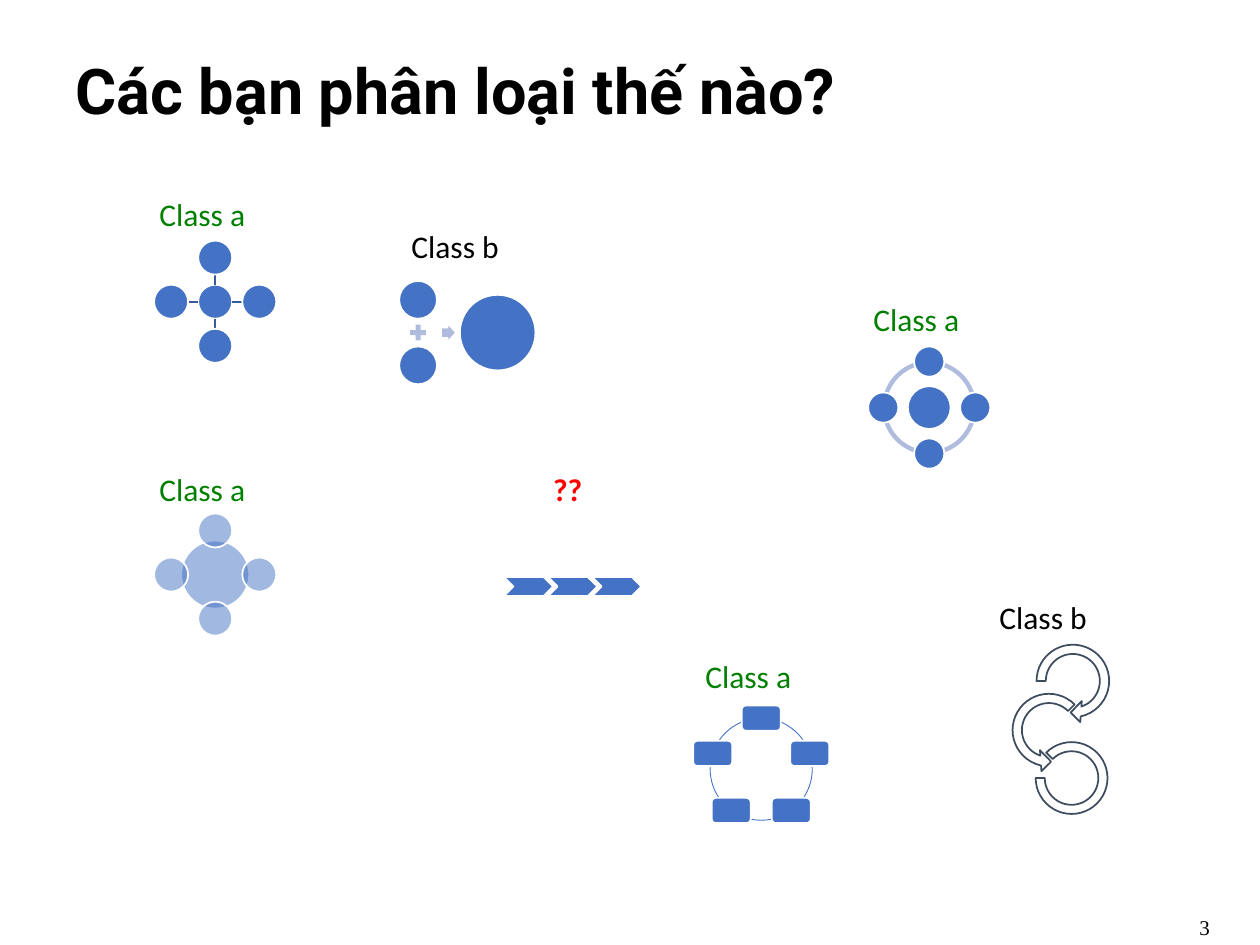
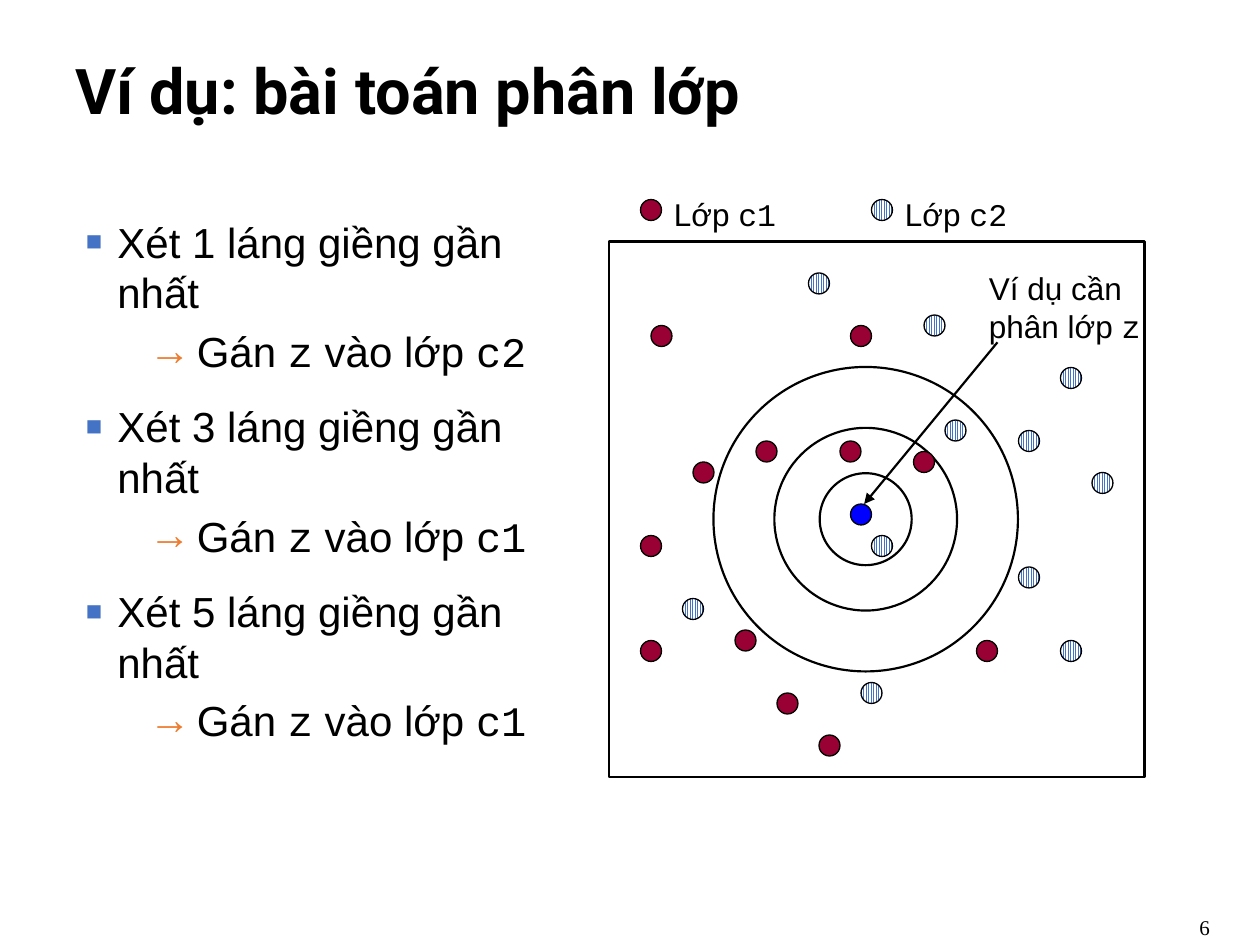
from math import cos, radians, sin

from lxml.etree import SubElement
from pptx import Presentation
from pptx.dml.color import RGBColor
from pptx.enum.dml import MSO_PATTERN
from pptx.enum.shapes import MSO_CONNECTOR, MSO_SHAPE
from pptx.enum.text import MSO_ANCHOR, PP_ALIGN
from pptx.oxml.ns import qn
from pptx.util import Inches, Pt

BLACK = RGBColor(0x00, 0x00, 0x00)
WHITE = RGBColor(0xFF, 0xFF, 0xFF)
BLUE = RGBColor(0x44, 0x72, 0xC4)
DEEP_BLUE = RGBColor(0x36, 0x5B, 0x9D)
PALE_BLUE = RGBColor(0xB0, 0xBC, 0xDE)
SLATE = RGBColor(0x3E, 0x4C, 0x60)
ORANGE = RGBColor(0xED, 0x7D, 0x31)
GREEN = RGBColor(0x00, 0x80, 0x00)
RED = RGBColor(0xFF, 0x00, 0x00)
MAROON = RGBColor(0x99, 0x00, 0x33)
PURE_BLUE = RGBColor(0x00, 0x00, 0xFF)

COLUMNS, ROWS = 120, 90
ADJUSTMENT_PER_DEGREE = 0.6
QUARTERS = (-90, 0, 90, 180)


def around(centre, distance, angle):
    """Point at a distance and clockwise angle from a centre."""
    return (centre[0] + distance * cos(radians(angle)),
            centre[1] + distance * sin(radians(angle)))


class Page:
    """Holds the style and the current slide; lengths are grid cells."""

    def __init__(self, deck):
        self.deck = deck
        self.cell_width = deck.slide_width / COLUMNS
        self.cell_height = deck.slide_height / ROWS

    def start(self, title, number):
        self.slide = self.deck.slides.add_slide(self.deck.slide_layouts[6])
        box = self.text(title, 6, 4, 108, 10, 36, font="Roboto", bold=True)
        box.text_frame.vertical_anchor = MSO_ANCHOR.MIDDLE
        box.text_frame.paragraphs[0].line_spacing = 0.9
        box = self.text(str(number), 101.4, 85.9, 15, 4.2, 12, font="Times New Roman")
        box.text_frame.vertical_anchor = MSO_ANCHOR.BOTTOM
        box.text_frame.paragraphs[0].alignment = PP_ALIGN.RIGHT

    def place(self, column, row):
        return round(column * self.cell_width), round(row * self.cell_height)

    def text_box(self, column, row, width, height):
        box = self.slide.shapes.add_textbox(*self.place(column, row),
                                            *self.place(width, height))
        box.text_frame.word_wrap = True
        return box

    def text(self, words, column, row, width, height, size,
             color=BLACK, font="Arial", bold=False):
        box = self.text_box(column, row, width, height)
        self.add_spans(box.text_frame.paragraphs[0], words, size, color, font, bold)
        return box

    def add_spans(self, para, words, size, color=BLACK, font="Arial", bold=False):
        """Fill a paragraph; words between backticks are monospaced."""
        for index, part in enumerate(words.split("`")):
            if part:
                span = para.add_run()
                span.text = part
                span.font.name = "Courier New" if index % 2 else font
                span.font.size = Pt(size)
                span.font.bold = bold
                span.font.color.rgb = color

    def shape(self, kind, centre, width, height=None, fill=BLUE,
              line=WHITE, weight=1, adjust=()):
        height = height or width
        shape = self.slide.shapes.add_shape(
            kind, *self.place(centre[0] - width / 2, centre[1] - height / 2),
            *self.place(width, height))
        shape.shadow.inherit = False
        for index, value in enumerate(adjust):
            shape.adjustments[index] = value
        if fill is None:
            shape.fill.background()
        else:
            shape.fill.solid()
            shape.fill.fore_color.rgb = fill
        if line is None:
            shape.line.fill.background()
        else:
            shape.line.color.rgb = line
            shape.line.width = Pt(weight)
        return shape

    def circle(self, centre, size, **style):
        return self.shape(MSO_SHAPE.OVAL, centre, size, **style)

    def glass_circle(self, centre, size):
        """Half-transparent circle."""
        shape = self.circle(centre, size)
        color = shape._element.spPr.find(qn("a:solidFill"))[0]
        SubElement(color, qn("a:alpha")).set("val", "50000")

    def dot(self, centre, fill=None):
        """Sample on the scatter; striped when no fill is given."""
        shape = self.circle(centre, 2, fill=fill, line=BLACK, weight=0.75)
        if fill is None:
            shape.fill.patterned()
            shape.fill.pattern = MSO_PATTERN.LIGHT_VERTICAL
            shape.fill.fore_color.rgb = BLUE
            shape.fill.back_color.rgb = WHITE

    def line(self, start, end, color, weight, arrow=False):
        line = self.slide.shapes.add_connector(
            MSO_CONNECTOR.STRAIGHT, *self.place(*start), *self.place(*end))
        line.line.color.rgb = color
        line.line.width = Pt(weight)
        properties = line._element.spPr
        if arrow:
            SubElement(properties.find(qn("a:ln")), qn("a:tailEnd")).set("type", "triangle")
        SubElement(properties, qn("a:effectLst"))

    def bullet(self, para, words, mark, color, left, hanging, size, before):
        properties = para._p.get_or_add_pPr()
        properties.set("marL", str(Inches(left)))
        properties.set("indent", str(-Inches(hanging)))
        fill = SubElement(properties, qn("a:buClr"))
        SubElement(fill, qn("a:srgbClr")).set("val", str(color))
        SubElement(properties, qn("a:buSzPct")).set("val", str(size * 1000))
        SubElement(properties, qn("a:buFont")).set("typeface", "Arial")
        SubElement(properties, qn("a:buChar")).set("char", mark)
        para.space_before = Pt(before)
        self.add_spans(para, words, 24)


def draw_spokes(page, centre):
    page.circle(centre, 3.24)
    for angle in QUARTERS:
        page.line(around(centre, 1.62, angle), around(centre, 2.58, angle), DEEP_BLUE, 1)
        page.circle(around(centre, 4.2, angle), 3.24)


def draw_overlap(page, centre):
    page.glass_circle(centre, 6.48)
    for angle in QUARTERS:
        page.glass_circle(around(centre, 4.2, angle), 3.24)


def draw_orbit(page, centre):
    for angle in QUARTERS:
        ends = [turn % 360 * ADJUSTMENT_PER_DEGREE for turn in (angle, angle + 90)]
        page.shape(MSO_SHAPE.BLOCK_ARC, centre, 9, fill=PALE_BLUE, line=None,
                   adjust=(*ends, 0.046))
    page.circle(centre, 4.08)
    for angle in QUARTERS:
        page.circle(around(centre, 4.38, angle), 2.88)


def draw_cycle(page, centre):
    for ends in ((-68, -35), (-4, 34), (79, 101), (146, 184), (215, 248)):
        page.shape(MSO_SHAPE.ARC, centre, 9.72, fill=None, line=BLUE, weight=0.5,
                   adjust=[turn % 360 * ADJUSTMENT_PER_DEGREE for turn in ends])
    for angle in range(-90, 270, 72):
        page.shape(MSO_SHAPE.ROUNDED_RECTANGLE, around(centre, 4.86, angle), 3.72, 2.4)


def draw_sum(page):
    for row in (28.56, 34.8):
        page.circle((39.82, row), 3.6)
    page.shape(MSO_SHAPE.MATH_PLUS, (39.82, 31.68), 2.04, fill=PALE_BLUE, line=None)
    page.shape(MSO_SHAPE.RIGHT_ARROW, (42.72, 31.68), 1.2, 1.32,
               fill=PALE_BLUE, line=None, adjust=(0.6, 0.5))
    page.circle((47.4, 31.68), 7.2)


def draw_gears(page):
    outline = {"fill": WHITE, "line": SLATE}
    page.shape(MSO_SHAPE.CIRCULAR_ARROW, (102.18, 64.86), 8.04,
               adjust=(0.11, 11.42, 45, 108, 0.125), **outline)
    page.shape(MSO_SHAPE.LEFT_CIRCULAR_ARROW, (99.9, 69.54), 8.04,
               adjust=(0.11, 11.42, 63, 189, 0.125), **outline)
    page.shape(MSO_SHAPE.BLOCK_ARC, (102.06, 74.1), 6.84,
               adjust=(135, 108, 0.127), **outline)


def build_grouping(page):
    page.start("Các bạn phân loại thế nào?", 3)
    draw_spokes(page, (20.5, 28.74))
    draw_overlap(page, (20.5, 54.72))
    draw_cycle(page, (72.5, 73.26))
    for step in range(3):
        page.shape(MSO_SHAPE.CHEVRON, (50.34 + 4.2 * step, 55.86), 4.68, 1.8)
    draw_orbit(page, (88.5, 38.82))
    draw_sum(page)
    draw_gears(page)
    page.text("??", 51.5, 44.2, 8, 4.8, 18, RED, "Calibri", bold=True)
    for column, row in ((82, 28), (66, 62), (14, 44.2), (14, 18)):
        page.text("Class a", column, row, 13, 4.8, 18, GREEN, "Calibri")
    for column, row in ((94, 56.4), (38, 21)):
        page.text("Class b", column, row, 14, 4.8, 18, font="Calibri")


def build_neighbours(page):
    page.start("Ví dụ: bài toán phân lớp", 6)
    for size in (29, 17.4, 8.76):
        page.circle((82.45, 49.45), size, fill=None, line=BLACK, weight=1.25)

    first_class = ((73, 43), (67, 45), (71, 61), (88, 44), (63, 32), (62, 62), (81, 43),
                   (82, 32), (62, 52), (94, 62), (75, 67), (79, 71))
    second_class = ((102, 36), (84, 52), (98, 55), (83, 66), (105, 46), (91, 41),
                    (78, 27), (66, 58), (102, 62), (98, 42), (89, 31))
    legend = (("Lớp `c1`", 62, MAROON, first_class), ("Lớp `c2`", 84, None, second_class))
    for label, column, fill, samples in legend:
        for centre in ((column, 20), *samples):
            page.dot(centre, fill)
        page.text(label, column + 1, 18, 14, 4.8, 18)
    page.dot((82, 49), PURE_BLUE)
    page.shape(MSO_SHAPE.RECTANGLE, (83.5, 48.5), 51, fill=None, line=BLACK, weight=1.5)
    page.line((95, 32.6), (82.3, 48), BLACK, 1.25, arrow=True)
    page.text("Ví dụ cần phân lớp `z`", 93, 25, 17, 8.5, 18)

    frame = page.text_box(7, 20, 45, 56).text_frame
    for index, (count, winner) in enumerate(((1, "c2"), (3, "c1"), (5, "c1"))):
        para = frame.add_paragraph() if index else frame.paragraphs[0]
        page.bullet(para, f"Xét {count} láng giềng gần nhất", "■", BLUE,
                    0.25, 0.25, 65, 14.4 if index else 0)
        page.bullet(frame.add_paragraph(), f"Gán `z` vào lớp `{winner}`", "→", ORANGE,
                    0.88, 0.38, 100, 4.8)


def main():
    deck = Presentation()
    deck.slide_width, deck.slide_height = Inches(10), Inches(7.5)
    page = Page(deck)
    build_grouping(page)
    build_neighbours(page)
    deck.save("out.pptx")


if __name__ == "__main__":
    main()
